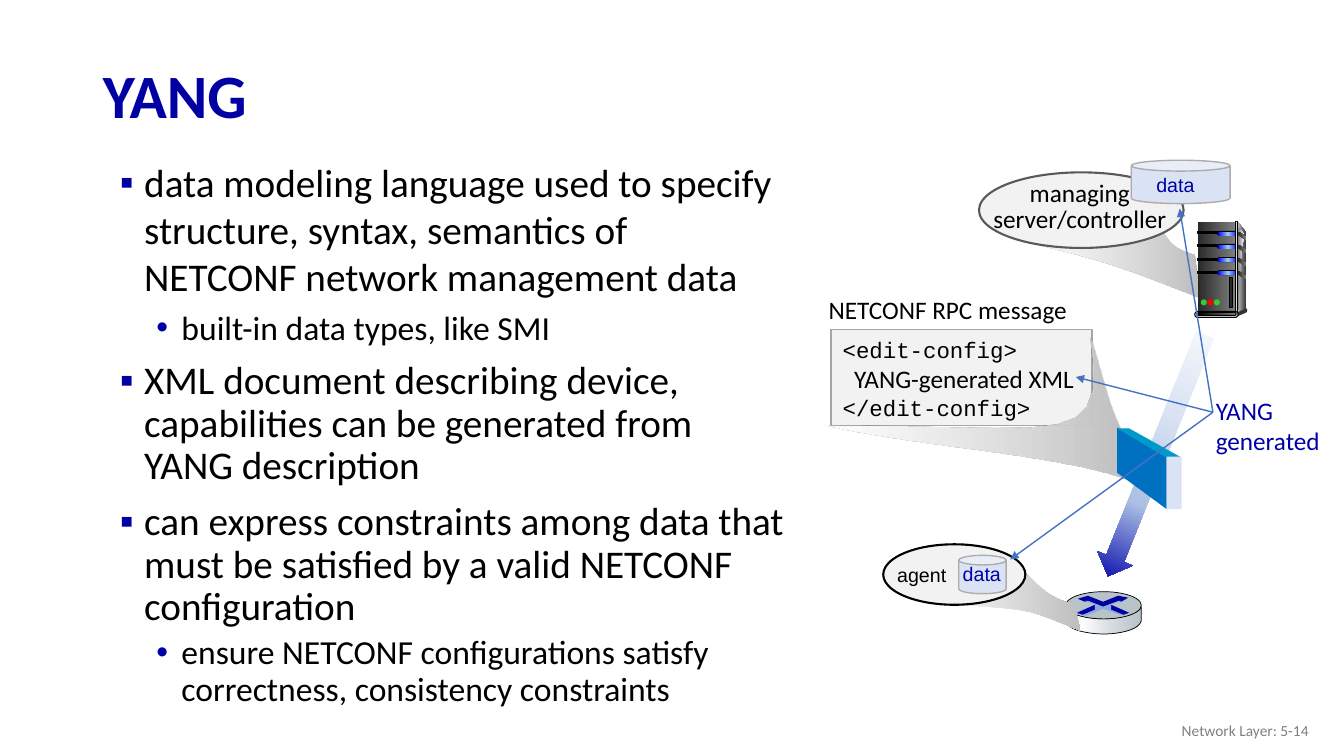
from dataclasses import dataclass

from lxml import etree
from pptx import Presentation
from pptx.dml.color import RGBColor
from pptx.enum.shapes import MSO_CONNECTOR, MSO_SHAPE
from pptx.enum.text import MSO_ANCHOR, MSO_AUTO_SIZE, PP_ALIGN
from pptx.oxml.ns import qn
from pptx.util import Inches, Pt

RECTANGLE, OVAL, CAN = MSO_SHAPE.RECTANGLE, MSO_SHAPE.OVAL, MSO_SHAPE.CAN
PILL, ARROW = MSO_SHAPE.ROUNDED_RECTANGLE, MSO_SHAPE.RIGHT_ARROW
STRAIGHT = MSO_CONNECTOR.STRAIGHT
LEFT, CENTER, RIGHT = PP_ALIGN.LEFT, PP_ALIGN.CENTER, PP_ALIGN.RIGHT
TOP, MIDDLE = MSO_ANCHOR.TOP, MSO_ANCHOR.MIDDLE
FIXED, GROW = MSO_AUTO_SIZE.NONE, MSO_AUTO_SIZE.SHAPE_TO_FIT_TEXT
COLUMNS, ROWS = 133.3, 75
CURVE_STEPS = 10


@dataclass(frozen=True)
class Theme:
    sans: str = "Calibri"
    label: str = "Arial"
    mono: str = "Courier New"
    title_size: int = 44
    body_sizes: tuple = (28, 24)
    caption: int = 18
    code: int = 16
    small: int = 14
    footer: int = 11
    black: str = "000000"
    gray: str = "808080"
    dark: str = "333333"
    pale: str = "F2F2F2"
    navy: str = "0000A3"
    blue: str = "0000A8"
    steel: str = "B8C2C9"
    ice: str = "DAE3F3"
    pointer: str = "4472C4"
    callout: tuple = ((0, "FFFFFF", 68), (99, "BFBFBF"))
    solid_callout: tuple = ((0, "FFFFFF"), (99, "BFBFBF"))
    chassis: tuple = ((0, "292929"), (100, "808080"))
    light_bar: tuple = ((0, "0000FF"), (50, "99CCFF"), (100, "0000FF"))


THEME = Theme()
THIN = (THEME.black, 0.75)
CAN_LINE = ("AFABAB", 1)


class SlideBuilder:
    def __init__(self, presentation, theme):
        self.theme = theme
        self.column = presentation.slide_width / COLUMNS
        self.row = presentation.slide_height / ROWS
        self.slide = presentation.slides.add_slide(presentation.slide_layouts[1])
        self.shapes = self.slide.shapes

    def place(self, *cells):
        return [round(cell * (self.row if index % 2 else self.column)) for index, cell in enumerate(cells)]

    def apply(self, target, values):
        for name, value in values.items():
            setattr(target, name, value)

    def paint(self, shape, fill, line=None):
        shape.shadow.inherit = False
        if isinstance(fill, str):
            shape.fill.solid()
            shape.fill.fore_color.rgb = RGBColor.from_string(fill)
        else:
            shape.fill.gradient()
            shape.fill.gradient_angle = 0
            stops = shape._element.spPr.find(qn("a:gradFill")).find(qn("a:gsLst"))
            for stop in list(stops):
                stops.remove(stop)
            for position, color, *opacity in fill:
                stop = etree.SubElement(stops, qn("a:gs"), pos=str(position * 1000))
                value = etree.SubElement(stop, qn("a:srgbClr"), val=color)
                for percent in opacity:
                    etree.SubElement(value, qn("a:alpha"), val=str(percent * 1000))
        if line:
            shape.line.color.rgb = RGBColor.from_string(line[0])
            shape.line.width = Pt(line[1])
        else:
            shape.line.fill.background()

    def preset(self, kind, at, fill, line=None, rotation=0):
        shape = self.shapes.add_shape(kind, *self.place(*at))
        self.paint(shape, fill, line)
        shape.rotation = rotation
        if kind == PILL:
            shape.adjustments[0] = 0.5

    def outline(self, start, segments, fill, line=None):
        points = [start]
        for segment in segments:
            if len(segment) == 2:
                points.append(segment)
                continue
            knots = (points[-1], segment[:2], segment[2:4], segment[4:])
            for step in range(1, CURVE_STEPS + 1):
                t = step / CURVE_STEPS
                weights = ((1 - t) ** 3, 3 * t * (1 - t) ** 2, 3 * t * t * (1 - t), t ** 3)
                points.append(tuple(sum(w * knot[axis] for w, knot in zip(weights, knots)) for axis in (0, 1)))
        corners = [self.place(*point) for point in points]
        builder = self.shapes.build_freeform(*corners[0])
        builder.add_line_segments(corners[1:], close=True)
        self.paint(builder.convert_to_shape(), fill, line)

    def add_words(self, paragraph, text, font, size, color, bold=False, **layout):
        self.apply(paragraph, layout)
        run = paragraph.add_run()
        run.text = text
        self.apply(run.font, {"name": font, "size": Pt(size), "bold": bold})
        run.font.color.rgb = RGBColor.from_string(color)

    def text(self, at, lines, color=THEME.black, wrap=True, fit=GROW, anchor=TOP, **layout):
        frame = self.shapes.add_textbox(*self.place(*at)).text_frame
        self.apply(frame, {"word_wrap": wrap, "auto_size": fit, "vertical_anchor": anchor})
        for index, (words, font, size) in enumerate(lines):
            paragraph = frame.add_paragraph() if index else frame.paragraphs[0]
            self.add_words(paragraph, words, font, size, color, **layout)

    def fill_placeholder(self, shape, at, anchor):
        self.apply(shape, dict(zip(("left", "top", "width", "height"), self.place(*at))))
        self.apply(shape.text_frame, {"word_wrap": True, "auto_size": FIXED, "vertical_anchor": anchor})
        return shape.text_frame

    def title(self, at, words):
        frame = self.fill_placeholder(self.shapes.title, at, MIDDLE)
        self.add_words(frame.paragraphs[0], words, self.theme.sans, self.theme.title_size,
                       self.theme.navy, True, alignment=LEFT, line_spacing=0.9)

    def bullets(self, at, items):
        frame = self.fill_placeholder(self.slide.placeholders[1], at, TOP)
        styles = ((0.39, -0.24, "▪", self.theme.navy, 10), (0.76, -0.25, "•", self.theme.blue, 5))
        for index, (level, spacing, words) in enumerate(items):
            paragraph = frame.add_paragraph() if index else frame.paragraphs[0]
            margin, indent, mark, color, before = styles[level]
            paragraph.level = level
            properties = paragraph._p.get_or_add_pPr()
            properties.set("marL", str(Inches(margin)))
            properties.set("indent", str(Inches(indent)))
            etree.SubElement(etree.SubElement(properties, qn("a:buClr")), qn("a:srgbClr"), val=color)
            etree.SubElement(properties, qn("a:buFont"), typeface=self.theme.label)
            etree.SubElement(properties, qn("a:buChar"), char=mark)
            self.add_words(paragraph, words, self.theme.sans, self.theme.body_sizes[level], self.theme.black,
                           line_spacing=spacing, space_before=Pt(before if index else 0), space_after=Pt(0))

    def pointer(self, start, end):
        connector = self.shapes.add_connector(STRAIGHT, *self.place(*start, *end))
        connector.line.color.rgb = RGBColor.from_string(self.theme.pointer)
        connector.line.width = Pt(1)
        properties = connector._element.spPr
        etree.SubElement(properties.find(qn("a:ln")), qn("a:tailEnd"), type="triangle")
        etree.SubElement(properties, qn("a:effectLst"))


def draw_router(page):
    page.outline((113.2, 60.2), [(113.2, 61.6), (112.9, 62.6, 110.7, 62.9, 109.5, 62.9),
                 (108.2, 62.9, 105.9, 62.6, 105.7, 61.6), (105.7, 60.2),
                 (106, 61, 108.2, 61.4, 109.4, 61.4), (110.6, 61.4, 112.8, 61.1, 113.2, 60.2)],
                 ((0, THEME.steel), (21, "FFFFFF"), (60, "D6DCE0"), (100, THEME.steel)), (THEME.black, 0.5))
    page.preset(OVAL, (105.7, 58.7, 7.5, 2.7), THEME.steel, (THEME.black, 0.5))
    page.outline((110.9, 59.1), [(111.9, 59.3), (111.2, 59.7), (111, 59.6), (109.4, 60.2), (107.9, 59.6),
                 (107.6, 59.7), (106.9, 59.4), (107.9, 59.1), (109.4, 59.7)], THEME.navy)
    page.outline((110.2, 60), [(112, 60.8), (111.4, 61), (110.2, 60.5)], THEME.navy)
    page.outline((108.6, 60), [(108.6, 60.5), (107.4, 61), (106.8, 60.8)], THEME.blue)
    page.outline((107.6, 59.6), [(107.9, 59.6), (109.4, 60.2), (111, 59.6), (111.2, 59.6), (110.2, 60),
                 (110.2, 60.5), (111.4, 61), (111.1, 61), (109.4, 60.4), (107.7, 61.1), (107.4, 61),
                 (108.6, 60.5), (108.6, 60)], "8FAADC")


def draw_agent(page):
    page.outline((106.5, 60), [(104, 59.1, 103.7, 59, 100.5, 55.5), (92, 59.7),
                 (102.8, 60.7, 100.6, 59.9, 107.2, 62.6)], THEME.solid_callout)
    page.preset(OVAL, (87.6, 54, 14.1, 6), THEME.pale, (THEME.black, 1.5))
    page.text((88, 55.4, 6.9, 3.4), [("agent", THEME.label, THEME.small)], wrap=False)
    page.preset(CAN, (95.1, 55.1, 4.7, 3.8), THEME.ice, CAN_LINE)
    page.text((94.5, 55.3, 5.8, 3.4), [("data", THEME.label, THEME.small)], THEME.blue, wrap=False)


def draw_controller(page):
    page.outline((118.5, 25.3), [(116.7, 24.8, 116.1, 24.3, 115.4, 23.1),
                 (109.8, 24.5, 110.2, 25, 101.5, 24), (110.9, 26.2, 111.8, 26.8, 119, 29.5)], THEME.callout)
    page.preset(OVAL, (97.1, 17.1, 20.3, 7.5), THEME.pale, ("595959", 1.5))
    page.text((97.3, 17.6, 19.6, 6.2), [(words, THEME.sans, THEME.caption) for words in
              ("managing", "server/controller")], alignment=CENTER, line_spacing=0.85)
    page.preset(CAN, (112.2, 15.9, 9.8, 4.3), THEME.ice, CAN_LINE)
    page.text((113.7, 16.7, 6.5, 3.4), [("data", THEME.label, THEME.small)], THEME.blue)


def draw_server(page):
    page.outline((122.8, 22), [(123.6, 23.1), (123.6, 30.7), (122.6, 31)], ((0, "DDDDDD"), (100, THEME.dark)))
    page.preset(RECTANGLE, (118.8, 22, 3.8, 9), THEME.chassis)
    page.outline((122.8, 22.6), [(122.8, 22.6, 123, 22.6, 123.4, 23.3),
                 (122.8, 26.6, 122.9, 30.9, 122.8, 30.8)], ((0, THEME.gray), (100, "F8F8F8")))
    for drive in range(4):
        top = 23 + 1.3 * drive
        page.preset(RECTANGLE, (118.8, top, 2.1, 0.2), THEME.black, THIN)
        page.preset(PILL, (120.7, top - 0.1, 2.1, 0.5), THEME.black)
        page.preset(PILL, (120.8, top, 2, 0.4), THEME.light_bar)
        page.outline((122.8, top), [(122.9, top, 123.2, top + 0.2, 123.6, top + 0.5),
                     (123.6, top + 0.8), (123.6, top + 0.8, 123.2, top + 0.6, 122.8, top + 0.3)], THEME.chassis)
    page.preset(RECTANGLE, (122.5, 22, 0.2, 9), ((0, THEME.dark), (50, "DDDDDD"), (100, THEME.dark)), THIN)
    page.preset(OVAL, (123.5, 30.6, 0.2, 0.4), THEME.dark)
    page.outline((122.7, 31), [(122.7, 31.4), (123.6, 31), (123.6, 30.6)], THEME.dark)
    page.preset(PILL, (118.5, 30.9, 4.3, 0.6), "DDDDDD", THIN)
    page.preset(PILL, (118.8, 31, 3.8, 0.3), ((0, THEME.black), (100, THEME.gray)), THIN)
    for lamp, color in enumerate(("33CC33", "FF0000", "33CC33")):
        page.preset(OVAL, (119.1 + 0.65 * lamp, 29.7, 0.6, 0.6), color)
    page.preset(RECTANGLE, (121.9, 27.5, 0.3, 3), "292929", THIN)


def draw_message(page):
    page.preset(ARROW, (101.8, 43.3, 25.8, 3.8),
                ((0, "F6F8FC"), (35, THEME.ice), (68, "ABC0E4"), (100, THEME.blue)), rotation=111.9)
    page.text((81.2, 28.7, 26.3, 4), [("NETCONF RPC message", THEME.sans, THEME.caption)])
    page.preset(RECTANGLE, (82.4, 32.7, 25.9, 9.5), THEME.pale, ("A6A6A6", 1))
    page.text((82.6, 32.9, 26.3, 9.4), [("<edit-config>", THEME.mono, THEME.code),
              ("  YANG-generated XML", THEME.sans, THEME.caption), ("</edit-config>", THEME.mono, THEME.code)])
    page.outline((112.1, 43.6), [(110.4, 43.1, 108.8, 34.7, 108.1, 33.5), (109.5, 44.8, 106.7, 42.2, 81.8, 42.2),
                 (91.2, 44.4, 105, 45, 112.2, 47.7)], THEME.callout)
    page.outline((110.8, 42.4), [(110.8, 46.9), (115.7, 50.5), (115.7, 45.2)], "0070C0")
    page.outline((112, 42.5), [(110.8, 42.5), (115.7, 45.4), (117.2, 45.4)], "0099CC")
    page.preset(RECTANGLE, (115.7, 45.3, 1.5, 5.2), THEME.ice)


def main():
    presentation = Presentation()
    presentation.slide_width, presentation.slide_height = Inches(13.33), Inches(7.5)
    page = SlideBuilder(presentation, THEME)
    page.bullets((9.4, 15.2, 69.7, 56.6), [
        (0, 1.0, "data modeling language used to specify structure, syntax, semantics of NETCONF network management data"),
        (1, 1.0, "built-in data types, like SMI"),
        (0, 0.9, "XML document describing device, capabilities can be generated from YANG description"),
        (0, 0.9, "can express constraints among data that must be satisfied by a valid NETCONF configuration"),
        (1, 0.9, "ensure NETCONF configurations satisfy correctness, consistency constraints")])
    page.title((9.2, 4.9, 115, 9.8), "YANG")
    page.text((100.8, 70.5, 30, 4), [("Network Layer: 5-14", THEME.sans, THEME.footer)], THEME.gray,
              fit=FIXED, anchor=MIDDLE, alignment=RIGHT)
    for draw in (draw_router, draw_agent, draw_controller, draw_server, draw_message):
        draw(page)
    page.text((119.6, 38.7, 12.5, 7.1), [(words, THEME.sans, THEME.caption) for words in
              ("YANG", "generated")], THEME.blue, wrap=False)
    for target in ((117, 20.7), (100.2, 55.5), (106.7, 37.4)):
        page.pointer((120.3, 40.9), target)
    presentation.save("out.pptx")


if __name__ == "__main__":
    main()
